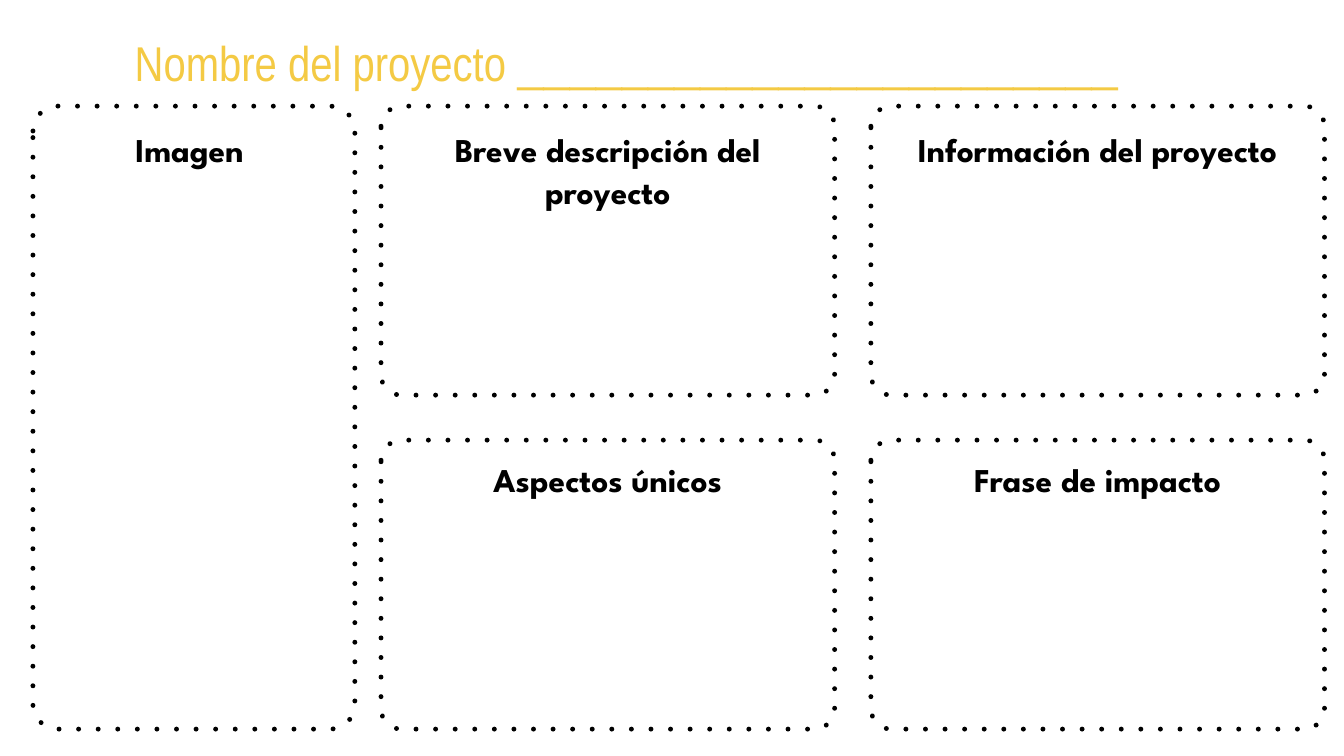
from lxml import etree
from pptx import Presentation
from pptx import util as u
from pptx.dml.color import RGBColor
from pptx.enum import shapes, text
from pptx.oxml.ns import qn

YELLOW = "F4CA44"
BLACK = "000000"
WHITE = "FFFFFF"

TOP = 1.58
LOWER_TOP = 6.55
CARD_HEIGHT = 4.3
CARD_WIDTH = 6.75
IMAGE_WIDTH = 4.79
HEADING_HEIGHT = 0.56


def color(value):
    return RGBColor.from_string(value)


def add_card(slide, left, top, width, height, radius):
    shape = slide.shapes.add_shape(
        shapes.MSO_SHAPE.ROUNDED_RECTANGLE,
        u.Inches(left), u.Inches(top), u.Inches(width), u.Inches(height))
    shape.adjustments[0] = radius / min(width, height)
    shape.shadow.inherit = False
    shape.fill.solid()
    shape.fill.fore_color.rgb = color(WHITE)
    shape.line.color.rgb = color(BLACK)
    shape.line.width = u.Pt(5.25)
    outline = shape.element.spPr.find(qn("a:ln"))
    outline.set("cap", "rnd")
    etree.SubElement(outline, qn("a:prstDash"), val="dot")


def add_text(slide, left, top, width, height, runs, hue=BLACK, bold=False, spacing=1.05):
    shape = slide.shapes.add_textbox(
        u.Inches(left), u.Inches(top), u.Inches(width), u.Inches(height))
    frame = shape.text_frame
    frame.word_wrap = True
    frame.auto_size = text.MSO_AUTO_SIZE.SHAPE_TO_FIT_TEXT
    frame.margin_left = frame.margin_right = frame.margin_top = frame.margin_bottom = 0
    paragraph = frame.paragraphs[0]
    paragraph.alignment = text.PP_ALIGN.CENTER
    paragraph.line_spacing = spacing
    for words, font_name, size in runs:
        run = paragraph.add_run()
        run.text = words
        run.font.name = font_name
        run.font.size = u.Pt(size)
        run.font.bold = bold
        run.font.color.rgb = color(hue)


def add_heading(slide, left, top, width, words, lines=1):
    add_text(slide, left, top, width, HEADING_HEIGHT * lines,
             [(words, "League Spartan", 35.6)], bold=True)


def main():
    presentation = Presentation()
    presentation.slide_width = u.Inches(20)
    presentation.slide_height = u.Inches(11.25)
    slide = presentation.slides.add_slide(presentation.slide_layouts[6])

    add_card(slide, 0.49, TOP, IMAGE_WIDTH, LOWER_TOP + CARD_HEIGHT - TOP, 0.37)
    add_heading(slide, 0.64, 1.9, 4.49, "Imagen ")

    cards = [
        (5.67, TOP, 1.9, "Breve descripción del proyecto", 2),
        (5.67, LOWER_TOP, 6.81, "Aspectos únicos", 1),
        (12.96, TOP, 1.9, "Información del proyecto", 1),
        (12.96, LOWER_TOP, 6.81, "Frase de impacto", 1),
    ]
    for left, top, heading_top, words, lines in cards:
        add_card(slide, left, top, CARD_WIDTH, CARD_HEIGHT, 0.3)
        add_heading(slide, left + 0.24, heading_top, 6.27, words, lines)

    add_text(slide, 0, 0.54, 18.64, 0.85,
             [("Nombre del proyecto ", "Arial Narrow", 52.3), ("_" * 23, "Arial", 50.3)],
             hue=YELLOW, spacing=0.97)
    presentation.save("out.pptx")


if __name__ == "__main__":
    main()
